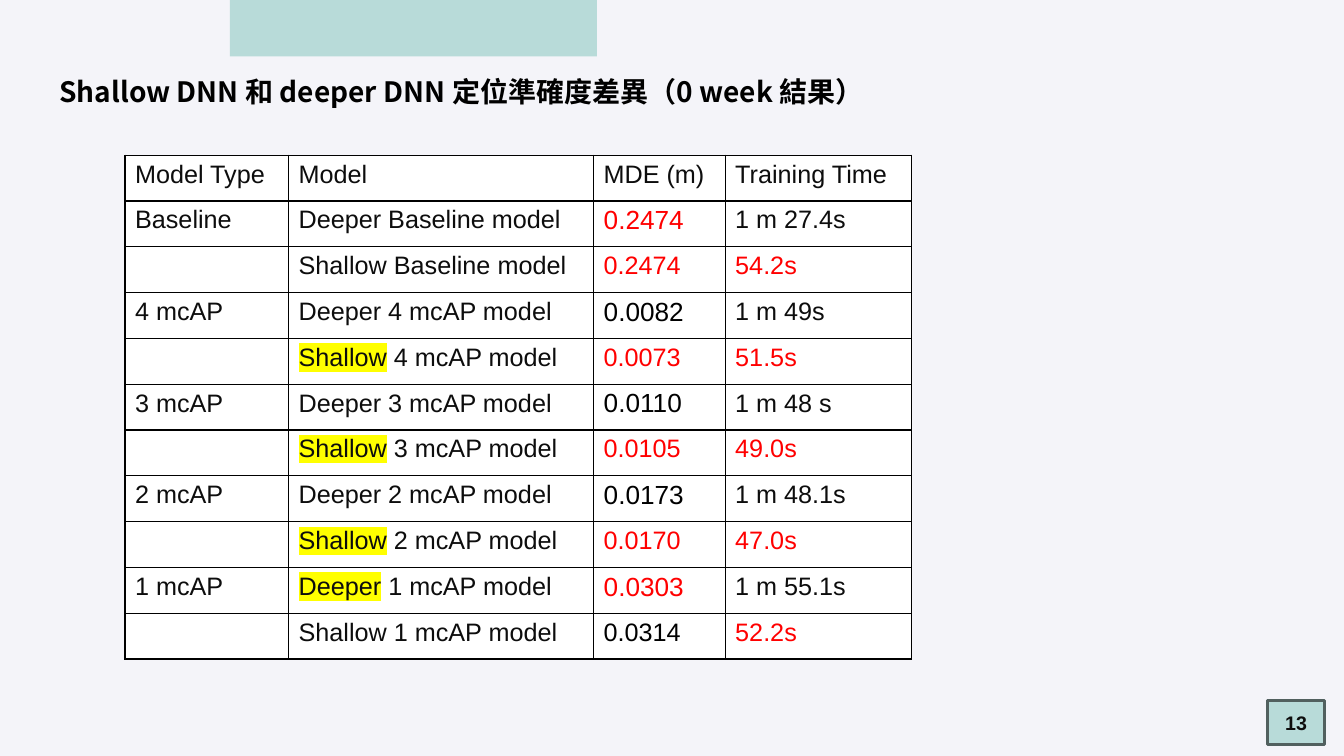
from dataclasses import dataclass
from typing import Any, NamedTuple

from pptx import Presentation
from pptx import util as u
from pptx.dml.color import RGBColor
from pptx.enum import shapes, text
from pptx.oxml import ns, xmlchemy


@dataclass(frozen=True)
class Theme:
    background: str = "F4F4F9"
    accent: str = "B8DBD9"
    frame: str = "51605F"
    ink: str = "0D0D0D"
    black: str = "000000"
    white: str = "FFFFFF"
    best: str = "FF0000"
    marker: str = "FFFF00"
    body_font: str = "Arial"
    title_font: str = "Noto Sans CJK SC"
    title_size: float = 20
    body_size: float = 18
    deeper_size: float = 18.7
    badge_size: float = 14


class Box(NamedTuple):
    """Left, top, width and height in percent of the slide."""
    left: float
    top: float
    width: float
    height: float


class Result(NamedTuple):
    mde: str
    time: str


class Pair(NamedTuple):
    name: str
    deeper: Result
    shallow: Result


THEME = Theme()
WIDTH, HEIGHT = u.Inches(13.33), u.Inches(7.5)
BAND = Box(17.1, -12.67, 27.31, 20.13)
BADGE = Box(94.3, 92.67, 4.28, 5.87)
TITLE = Box(3.68, 9.2, 97.67, 5.87)
TABLE = Box(9.3, 20.53, 58.54, 66.67)
COLUMNS = (12.17, 22.7, 9.79, 13.88)
HEADERS = ("Model Type", "Model", "MDE (m)", "Training Time")
PAIRS = (
    Pair("Baseline", Result("0.2474", "1 m 27.4s"), Result("0.2474", "54.2s")),
    Pair("4 mcAP", Result("0.0082", "1 m 49s"), Result("0.0073", "51.5s")),
    Pair("3 mcAP", Result("0.0110", "1 m 48 s"), Result("0.0105", "49.0s")),
    Pair("2 mcAP", Result("0.0173", "1 m 48.1s"), Result("0.0170", "47.0s")),
    Pair("1 mcAP", Result("0.0303", "1 m 55.1s"), Result("0.0314", "52.2s")),
)


def rgb(color: str) -> RGBColor:
    return RGBColor.from_string(color)


def place(box: Box) -> tuple[int, int, int, int]:
    return (int(WIDTH * box.left / 100), int(HEIGHT * box.top / 100),
            int(WIDTH * box.width / 100), int(HEIGHT * box.height / 100))


def write(p: Any, content: str, *, size: float = THEME.body_size,
          color: str = THEME.ink, font: str = THEME.body_font,
          bold: bool = False, highlight: str = "") -> None:
    r = p.add_run()
    r.text = content
    r.font.size, r.font.bold, r.font.name = u.Pt(size), bold, font
    r.font.color.rgb = rgb(color)
    rPr = r.font._element
    ea = xmlchemy.OxmlElement("a:ea")
    ea.set("typeface", font)
    rPr.find(ns.qn("a:latin")).addnext(ea)
    if highlight:
        mark = xmlchemy.OxmlElement("a:highlight")
        clr = xmlchemy.OxmlElement("a:srgbClr")
        clr.set("val", highlight)
        mark.append(clr)
        rPr.find(ns.qn("a:solidFill")).addnext(mark)


def add_block(s: Any, box: Box, line: str = "") -> Any:
    sp = s.shapes.add_shape(shapes.MSO_SHAPE.RECTANGLE, *place(box))
    sp.shadow.inherit = False
    sp.fill.solid()
    sp.fill.fore_color.rgb = rgb(THEME.accent)
    if line:
        sp.line.color.rgb = rgb(line)
        sp.line.width = u.Pt(2)
    else:
        sp.line.fill.background()
    return sp


def add_badge(s: Any, number: str) -> None:
    tf = add_block(s, BADGE, THEME.frame).text_frame
    tf.vertical_anchor = text.MSO_ANCHOR.MIDDLE
    p = tf.paragraphs[0]
    p.alignment = text.PP_ALIGN.CENTER
    write(p, number, size=THEME.badge_size, bold=True)


def add_title(s: Any, content: str) -> None:
    tf = s.shapes.add_textbox(*place(TITLE)).text_frame
    tf.word_wrap = True
    tf.auto_size = text.MSO_AUTO_SIZE.SHAPE_TO_FIT_TEXT
    write(tf.paragraphs[0], content, size=THEME.title_size,
          color=THEME.black, font=THEME.title_font, bold=True)


def style_cell(cell: Any) -> None:
    cell.fill.solid()
    cell.fill.fore_color.rgb = rgb(THEME.white)
    tcPr = cell._tc.get_or_add_tcPr()
    for i, side in enumerate("LRTB"):
        ln = xmlchemy.OxmlElement(f"a:ln{side}")
        ln.set("w", str(u.Pt(1)))
        fill = xmlchemy.OxmlElement("a:solidFill")
        clr = xmlchemy.OxmlElement("a:srgbClr")
        clr.set("val", THEME.black)
        fill.append(clr)
        ln.append(fill)
        tcPr.insert(i, ln)


def write_result(cells: Any, pair: Pair, deeper: bool) -> None:
    own, rival = ((pair.deeper, pair.shallow) if deeper
                  else (pair.shallow, pair.deeper))
    p_name, p_model, p_mde, p_time = (
        cell.text_frame.paragraphs[0] for cell in cells)
    if deeper:
        write(p_name, pair.name)
    wins = float(own.mde) < float(rival.mde)
    ties = float(own.mde) == float(rival.mde)
    depth = "Deeper" if deeper else "Shallow"
    write(p_model, depth, highlight=THEME.marker if wins else "")
    write(p_model, f" {pair.name} model")
    write(p_mde, own.mde,
          size=THEME.deeper_size if deeper else THEME.body_size,
          color=THEME.best if wins or ties else THEME.black)
    write(p_time, own.time, color=THEME.ink if deeper else THEME.best)


def add_results(s: Any) -> None:
    count = 1 + 2 * len(PAIRS)
    table = s.shapes.add_table(count, len(COLUMNS), *place(TABLE)).table
    table.first_row = table.horz_banding = False
    for column, share in zip(table.columns, COLUMNS):
        column.width = int(WIDTH * share / 100)
    for row in table.rows:
        row.height = int(HEIGHT * TABLE.height / 100 / count)
    for cell in table.iter_cells():
        style_cell(cell)
    rows = [list(row.cells) for row in table.rows]
    for cell, header in zip(rows[0], HEADERS):
        write(cell.text_frame.paragraphs[0], header)
    for i, pair in enumerate(PAIRS):
        write_result(rows[2 * i + 1], pair, deeper=True)
        write_result(rows[2 * i + 2], pair, deeper=False)


def main() -> None:
    prs = Presentation()
    prs.slide_width, prs.slide_height = WIDTH, HEIGHT
    s = prs.slides.add_slide(prs.slide_layouts[6])
    s.background.fill.solid()
    s.background.fill.fore_color.rgb = rgb(THEME.background)
    add_block(s, BAND)
    add_badge(s, "13")
    add_title(s, "Shallow DNN 和 deeper DNN 定位準確度差異（0 week 結果）")
    add_results(s)
    prs.save("out.pptx")


if __name__ == "__main__":
    main()
